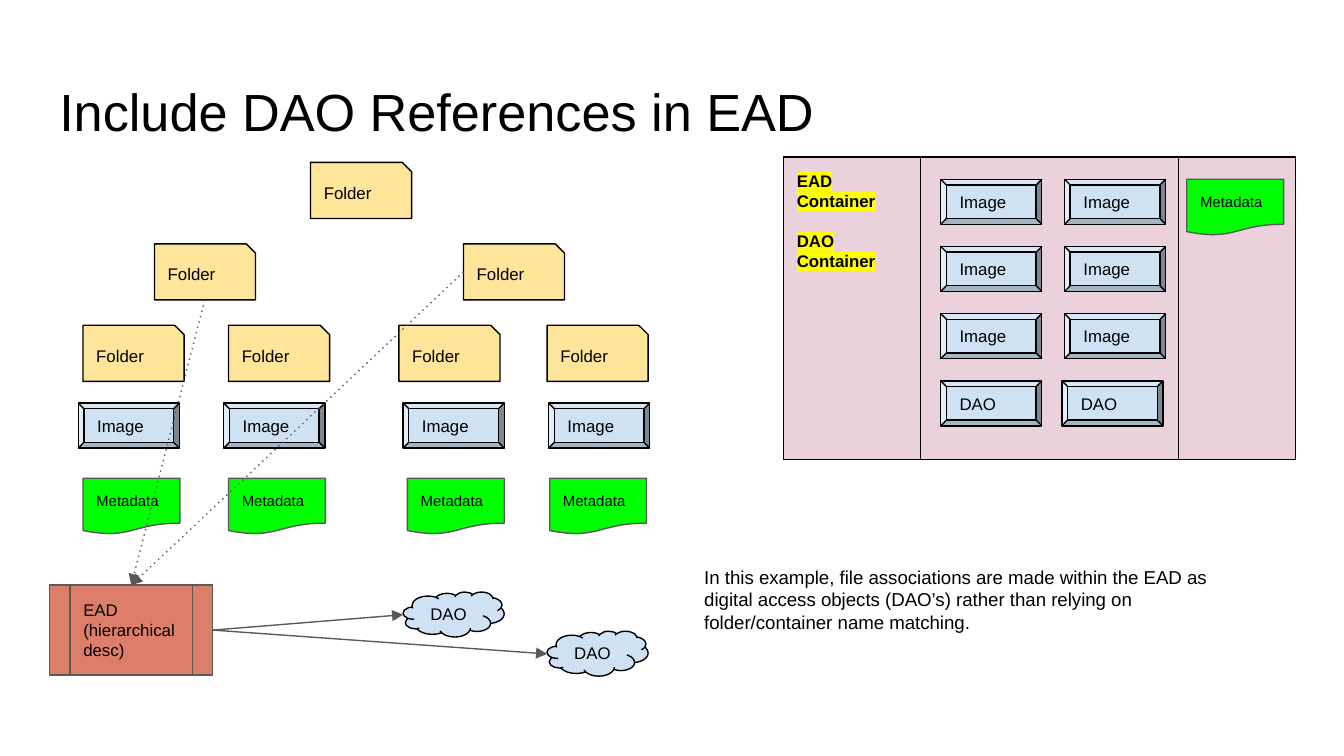
from dataclasses import dataclass

from lxml.etree import SubElement
from pptx import Presentation
from pptx.dml.color import RGBColor
from pptx.enum.shapes import MSO_CONNECTOR as Connector
from pptx.enum.shapes import MSO_SHAPE as Shape
from pptx.enum.text import MSO_ANCHOR as Anchor
from pptx.enum.text import MSO_AUTO_SIZE as AutoSize
from pptx.enum.text import PP_ALIGN as Align
from pptx.oxml.ns import qn
from pptx.util import Cm, Pt


@dataclass(frozen=True)
class Theme:
    font: str = "Arial"
    text: str = "000000"
    outline: str = "000000"
    soft_outline: str = "595959"
    folder: str = "FFE599"
    image: str = "CFE2F3"
    metadata: str = "00FF00"
    panel: str = "EAD1DC"
    finding_aid: str = "DD7E6B"
    highlight: str = "FFFF00"
    title_size: float = 28
    note_size: float = 10
    label_size: float = 9
    small_size: float = 8
    line_width: float = 0.75
    inset: float = 0.25


class SlideBuilder:
    def __init__(self, slide, theme):
        self.slide = slide
        self.theme = theme

    def label(self, box, text, size, anchor=Anchor.TOP, bold=False):
        frame = box.text_frame
        frame.text = text
        frame.word_wrap = True
        frame.auto_size = AutoSize.NONE
        frame.vertical_anchor = anchor
        frame.margin_left = frame.margin_right = Cm(self.theme.inset)
        frame.margin_top = frame.margin_bottom = Cm(self.theme.inset)
        for para in frame.paragraphs:
            para.alignment = Align.LEFT
            for span in para.runs:
                span.font.name = self.theme.font
                span.font.size = Pt(size)
                span.font.bold = bold
                span.font.color.rgb = RGBColor.from_string(self.theme.text)
        return frame

    def title(self, text, left, top, width, height):
        box = self.slide.shapes.title
        box.left, box.top, box.width, box.height = map(Cm, (left, top, width, height))
        self.label(box, text, self.theme.title_size)

    def note(self, text, left, top, width, height):
        box = self.slide.shapes.add_textbox(*map(Cm, (left, top, width, height)))
        self.label(box, text, self.theme.note_size)

    def shape(self, kind, fill, left, top, width, height, text="", size=None, outline=None):
        box = self.slide.shapes.add_shape(kind, *map(Cm, (left, top, width, height)))
        box.shadow.inherit = False
        box.fill.solid()
        box.fill.fore_color.rgb = RGBColor.from_string(fill)
        box.line.color.rgb = RGBColor.from_string(outline or self.theme.outline)
        box.line.width = Pt(self.theme.line_width)
        if text:
            self.label(box, text, size or self.theme.label_size, Anchor.MIDDLE)
        return box

    def folder(self, left, top):
        self.shape(Shape.SNIP_1_RECTANGLE, self.theme.folder, left, top, 1.91, 1.06, "Folder")

    def tile(self, left, top, text="Image"):
        self.shape(Shape.BEVEL, self.theme.image, left, top, 1.91, 0.85, text)

    def metadata(self, left, top):
        self.shape(Shape.FLOWCHART_DOCUMENT, self.theme.metadata, left, top, 1.83, 1.06,
                   "Metadata", self.theme.small_size, self.theme.soft_outline)

    def cloud(self, left, top):
        self.shape(Shape.CLOUD, self.theme.image, left, top, 1.91, 0.85, "DAO")

    def finding_aid(self, text, left, top, width, height):
        return self.shape(Shape.FLOWCHART_PREDEFINED_PROCESS, self.theme.finding_aid, left, top,
                          width, height, text, outline=self.theme.soft_outline)

    def panel(self, left, top, width, height):
        return self.shape(Shape.FLOWCHART_PROCESS, self.theme.panel, left, top, width, height)

    def highlighted(self, box, text, gap):
        frame = self.label(box, text, self.theme.label_size, bold=True)
        for para in frame.paragraphs[1:]:
            para.space_before = Pt(gap)
        for para in frame.paragraphs:
            for span in para.runs:
                properties = span.font._element
                mark = SubElement(properties, qn("a:highlight"))
                SubElement(mark, qn("a:srgbClr"), val=self.theme.highlight)
                properties.find(qn("a:solidFill")).addnext(mark)

    def arrow(self, start, end, dotted=False):
        arrow = self.slide.shapes.add_connector(Connector.STRAIGHT, *map(Cm, (*start, *end)))
        arrow.line.color.rgb = RGBColor.from_string(self.theme.soft_outline)
        arrow.line.width = Pt(self.theme.line_width)
        line = arrow.line._get_or_add_ln()
        if dotted:
            SubElement(line, qn("a:prstDash"), val="dot")
        SubElement(line, qn("a:tailEnd"), type="triangle")
        SubElement(arrow._element.spPr, qn("a:effectLst"))
        return arrow


def main():
    deck = Presentation()
    deck.slide_width, deck.slide_height = Cm(25.4), Cm(14.29)
    page = SlideBuilder(deck.slides.add_slide(deck.slide_layouts[5]), Theme())

    page.title("Include DAO References in EAD", 0.87, 1.25, 23.67, 1.59)

    # Folder tree, one row per level
    folder_rows = [[5.87], [2.92, 8.76], [1.57, 4.32, 7.54, 10.34]]
    for level, row in enumerate(folder_rows):
        for left in row:
            page.folder(left, 3.07 + 1.54 * level)

    # Images and metadata under the lowest folders
    for left in (1.48, 4.23, 7.62, 10.37):
        page.tile(left, 7.62)
    for left in (1.57, 4.32, 7.7, 10.39):
        page.metadata(left, 9.04)

    # Container panels
    panel_left, panels = 14.81, []
    for width in (2.59, 4.87, 2.21):
        panels.append(page.panel(panel_left, 2.97, width, 5.72))
        panel_left += width
    page.highlighted(panels[0], "EAD Container\nDAO Container", 10.5)
    for row in range(3):
        for left in (17.78, 20.12):
            page.tile(left, 3.39 + 1.27 * row)
    for left in (17.78, 20.07):
        page.tile(left, 7.2, "DAO")
    page.metadata(22.43, 3.39)

    # Hierarchical description and its digital objects
    finding_aid = page.finding_aid("EAD\n(hierarchical desc)", 0.94, 11.06, 3.08, 1.7)
    clouds = [(7.62, 11.19), (10.34, 11.93)]
    for left, top in clouds:
        page.cloud(left, top)

    # Arrows into and out of the description
    for start in ((3.87, 5.67), (8.76, 5.14)):
        page.arrow(start, (2.48, 11.06), dotted=True).end_connect(finding_aid, 0)
    for left, top in clouds:
        page.arrow((4.02, 11.91), (left, top + 0.43)).begin_connect(finding_aid, 3)

    page.note("In this example, file associations are made within the EAD as digital access "
              "objects (DAO’s) rather than relying on folder/container name matching.",
              13.06, 10.44, 10.74, 2.62)

    deck.save("out.pptx")


if __name__ == "__main__":
    main()
